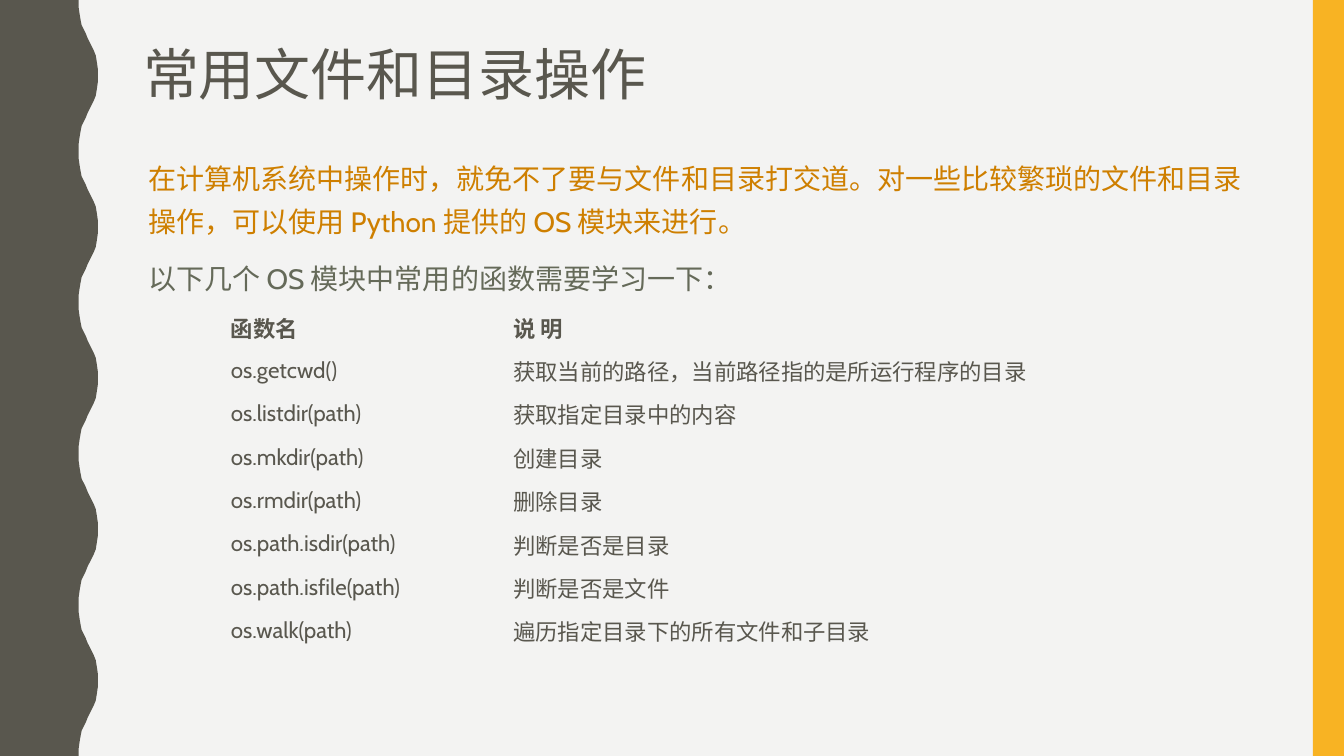
"""Build a slide on common file and directory operations."""
from dataclasses import dataclass

from lxml.etree import SubElement
from pptx import Presentation
from pptx.dml.color import RGBColor as Color
from pptx.enum.shapes import MSO_SHAPE as Preset
from pptx.enum.text import MSO_ANCHOR as Anchor
from pptx.oxml.ns import qn
from pptx.util import Inches, Pt


@dataclass(frozen=True)
class Theme:
    """Colours, fonts and type sizes."""
    paper: str = "F3F3F2"
    dark: str = "59574E"
    gold: str = "F8B323"
    amber: str = "CE7F00"
    olive: str = "656A59"
    latin: str = "Cabin"
    chinese: str = "Noto Sans CJK SC"
    title: int = 40
    body: int = 20
    cell: int = 16
    plain_table: str = "{2D5ABB26-0587-4C30-8999-92F81FD0307C}"


FUNCTIONS = [
    ("函数名", "说 明"),
    ("os.getcwd()", "获取当前的路径，当前路径指的是所运行程序的目录"),
    ("os.listdir(path)", "获取指定目录中的内容"),
    ("os.mkdir(path)", "创建目录"),
    ("os.rmdir(path)", "删除目录"),
    ("os.path.isdir(path)", "判断是否是目录"),
    ("os.path.isfile(path)", "判断是否是文件"),
    ("os.walk(path)", "遍历指定目录下的所有文件和子目录"),
]

WAVE_PERIOD = 1.5
HALF_WAVE = [
    (0.78, 0), (0.78, 0.07), (0.79, 0.14), (0.8, 0.2), (0.81, 0.25),
    (0.83, 0.29), (0.85, 0.33), (0.87, 0.38), (0.89, 0.42), (0.91, 0.46),
    (0.93, 0.5), (0.95, 0.55), (0.96, 0.61), (0.97, 0.68), (0.97, 0.75),
]


def write_text(paragraph, text, *, size, color, latin, chinese, bold=False,
               line=None, before=0, after=0):
    """Add one formatted run to a paragraph."""
    paragraph.line_spacing = line
    paragraph.space_before, paragraph.space_after = Pt(before), Pt(after)
    run = paragraph.add_run()
    run.text = text
    font = run.font
    font.name, font.size, font.bold = latin, Pt(size), bold
    font.color.rgb = Color.from_string(color)
    SubElement(run._r.get_or_add_rPr(), qn("a:ea")).set("typeface", chinese)


def wave_points(height):
    """Return the points of the wavy edge from top to bottom."""
    mirrored = [(x, WAVE_PERIOD - y) for x, y in reversed(HALF_WAVE[1:-1])]
    period = HALF_WAVE + mirrored
    count = round(height / WAVE_PERIOD)
    points = [(x, y + WAVE_PERIOD * index)
              for index in range(count) for x, y in period]
    return points + [(HALF_WAVE[0][0], height)]


class SlideBuilder:
    """Hold the theme and the current slide."""

    def __init__(self, slide, theme):
        self.slide, self.theme = slide, theme
        fill = slide.background.fill
        fill.solid()
        fill.fore_color.rgb = Color.from_string(theme.paper)

    def paint(self, shape, color):
        """Give a shape a flat fill without line or shadow."""
        shape.shadow.inherit = False
        shape.fill.solid()
        shape.fill.fore_color.rgb = Color.from_string(color)
        shape.line.fill.background()

    def wavy_band(self, height):
        """Draw the left band with its wavy edge."""
        points = wave_points(height) + [(0, height)]
        builder = self.slide.shapes.build_freeform(0, 0)
        builder.add_line_segments([(Inches(x), Inches(y)) for x, y in points])
        self.paint(builder.convert_to_shape(), self.theme.dark)

    def bar(self, left, top, width, height):
        """Draw the gold bar."""
        box = map(Inches, (left, top, width, height))
        shape = self.slide.shapes.add_shape(Preset.RECTANGLE, *box)
        self.paint(shape, self.theme.gold)

    def text_box(self, left, top, width, height, paragraphs, **common):
        """Add a wrapped text box from (text, format) pairs."""
        box = map(Inches, (left, top, width, height))
        frame = self.slide.shapes.add_textbox(*box).text_frame
        frame.word_wrap = True
        for index, (text, style) in enumerate(paragraphs):
            paragraph = frame.add_paragraph() if index else frame.paragraphs[0]
            write_text(paragraph, text, chinese=self.theme.chinese,
                       **common, **style)

    def table(self, left, top, columns, row_height, rows):
        """Add a plain table whose first row is bold."""
        theme = self.theme
        box = map(Inches, (left, top, sum(columns), row_height * len(rows)))
        table = self.slide.shapes.add_table(len(rows), len(columns), *box).table
        table.first_row = table.horz_banding = False
        properties = table._tbl.tblPr
        properties.find(qn("a:tableStyleId")).text = theme.plain_table
        for column, width in zip(table.columns, columns):
            column.width = Inches(width)
        for row_index, row in enumerate(rows):
            for column_index, text in enumerate(row):
                cell = table.cell(row_index, column_index)
                cell.fill.background()
                cell.vertical_anchor = Anchor.MIDDLE
                cell.margin_left = cell.margin_right = Inches(0.12)
                cell.margin_top = cell.margin_bottom = Inches(0.06)
                write_text(cell.text_frame.paragraphs[0], text,
                           size=theme.cell, color=theme.dark,
                           latin=theme.latin, chinese=theme.chinese,
                           bold=row_index == 0)


def main():
    """Compose and save the slide."""
    theme = Theme()
    presentation = Presentation()
    presentation.slide_width = Inches(13.33)
    presentation.slide_height = Inches(7.5)
    slide = presentation.slides.add_slide(presentation.slide_layouts[6])
    page = SlideBuilder(slide, theme)
    page.wavy_band(7.5)
    page.bar(13.02, 0, 0.31, 7.5)
    page.text_box(1.32, 0.42, 11.91, 1.78,
                  [("常用文件和目录操作", {"line": 0.9})],
                  size=theme.title, color=theme.dark, latin=theme.chinese)
    page.text_box(1.37, 1.45, 11.13, 4.98, [
        ("在计算机系统中操作时，就免不了要与文件和目录打交道。"
         "对一些比较繁琐的文件和目录操作，可以使用 Python 提供的 OS 模块来进行。",
         {"color": theme.amber, "line": 1.3, "before": 7, "after": 7}),
        ("以下几个 OS 模块中常用的函数需要学习一下：",
         {"color": theme.olive, "line": 1.1, "before": 7}),
    ], size=theme.body, latin=theme.latin)
    page.table(2.17, 3.03, (2.8, 6.76), 0.43, FUNCTIONS)
    presentation.save("out.pptx")


if __name__ == "__main__":
    main()
